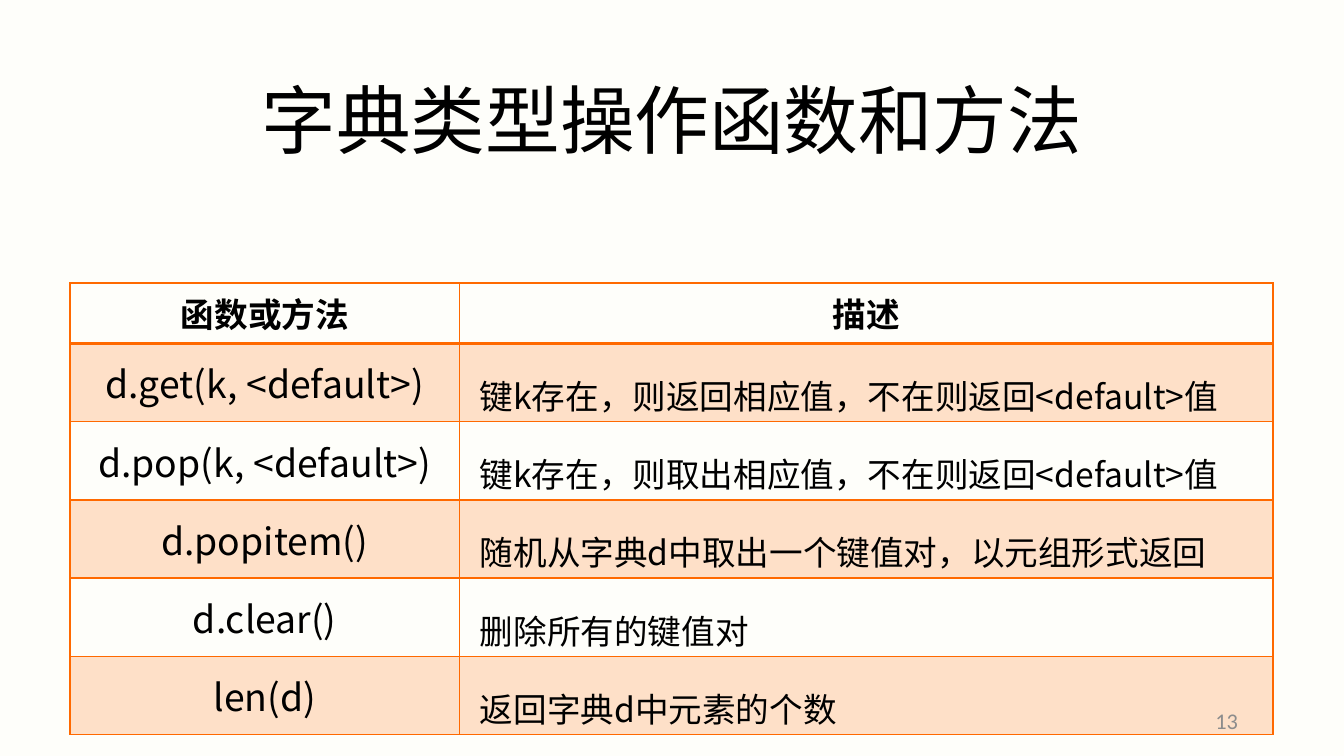
import dataclasses

import lxml.etree
import pptx
import pptx.dml.color
import pptx.enum.text
import pptx.oxml
import pptx.oxml.ns
import pptx.util

ALIGN = pptx.enum.text.PP_ALIGN
MIDDLE = pptx.enum.text.MSO_ANCHOR.MIDDLE
SCALE = 914400 // 200  # EMU per px, 200 px to the inch


@dataclasses.dataclass(frozen=True)
class Theme:
    back: str = "FEFEFA"
    ink: str = "000000"
    accent: str = "FF6900"
    muted: str = "8C8C8C"
    tint: int = 20  # percent opacity of the banded rows
    font: str = "Noto Sans CJK SC"
    latin: str = "Calibri"
    title: int = 40
    code: int = 20
    body: int = 18
    note: int = 12


THEME = Theme()

HEADS = ("函数或方法", "描述")
ROWS = (
    ("d.get(k, <default>)", "键k存在，则返回相应值，不在则返回<default>值"),
    ("d.pop(k, <default>)", "键k存在，则取出相应值，不在则返回<default>值"),
    ("d.popitem()", "随机从字典d中取出一个键值对，以元组形式返回"),
    ("d.clear()", "删除所有的键值对"),
    ("len(d)", "返回字典d中元素的个数"),
)


def px(count):
    return pptx.util.Emu(count * SCALE)


def rgb(code):
    return pptx.dml.color.RGBColor.from_string(code)


def add_run(para, text, size, color=THEME.ink, font=THEME.font, bold=False):
    run = para.add_run()
    run.text = text
    run.font.size = pptx.util.Pt(size)
    run.font.bold = bold
    run.font.color.rgb = rgb(color)
    run.font.name = font
    # East Asian glyphs need their own font entry
    east = lxml.etree.SubElement(run.font._element, pptx.oxml.ns.qn("a:ea"))
    east.set("typeface", font)


def add_title(slide, text):
    title = slide.shapes.title
    title.left, title.top, title.width, title.height = map(px, (0, 106, 2000, 174))
    frame = title.text_frame
    frame.auto_size = pptx.enum.text.MSO_AUTO_SIZE.NONE
    frame.vertical_anchor = MIDDLE
    frame.margin_left = frame.margin_right = 0
    frame.margin_top = frame.margin_bottom = 0
    para = frame.paragraphs[0]
    para.alignment = ALIGN.CENTER
    para.line_spacing = 0.7
    add_run(para, text, THEME.title)


def set_edges(cell, top=1, bottom=1):
    props = cell._tc.get_or_add_tcPr()
    widths = {"lnL": 1, "lnR": 1, "lnT": top, "lnB": bottom}
    for spot, (tag, width) in enumerate(widths.items()):
        line = pptx.oxml.parse_xml(
            f'<a:{tag} {pptx.oxml.ns.nsdecls("a")} w="{pptx.util.Pt(width)}">'
            f'<a:solidFill><a:srgbClr val="{THEME.accent}"/></a:solidFill>'
            f'<a:prstDash val="solid"/></a:{tag}>'
        )
        props.insert(spot, line)


def set_fill(cell, tinted):
    if not tinted:
        cell.fill.background()
        return
    cell.fill.solid()
    cell.fill.fore_color.rgb = rgb(THEME.accent)
    color = cell._tc.tcPr.find(".//" + pptx.oxml.ns.qn("a:srgbClr"))
    alpha = lxml.etree.SubElement(color, pptx.oxml.ns.qn("a:alpha"))
    alpha.set("val", str(THEME.tint * 1000))


def fill_cell(cell, text, row, col):
    head = row == 0
    prose = not head and col == 1
    cell.vertical_anchor = MIDDLE
    cell.margin_left = px(30 if prose else 8)
    cell.margin_right = px(8)
    cell.margin_top = cell.margin_bottom = px(4)
    para = cell.text_frame.paragraphs[0]
    para.alignment = ALIGN.LEFT if prose else ALIGN.CENTER
    if prose:
        para.line_spacing = 1.5
    size = THEME.body if head or prose else THEME.code
    add_run(para, text, size, bold=head)
    set_fill(cell, row % 2 == 1)
    set_edges(cell, top=2 if row == 1 else 1, bottom=2 if head else 1)


def add_grid(slide, rows):
    high = [90] + [96] * (len(rows) - 1)
    wide = (580, 1210)
    frame = slide.shapes.add_table(
        len(rows), len(wide), px(104), px(421), px(sum(wide)), px(sum(high))
    )
    table = frame.table
    table.first_row = table.horz_banding = False
    for col, width in enumerate(wide):
        table.columns[col].width = px(width)
    for row, texts in enumerate(rows):
        table.rows[row].height = px(high[row])
        for col, text in enumerate(texts):
            fill_cell(table.cell(row, col), text, row, col)


def add_page(slide, text):
    box = slide.shapes.add_textbox(px(1412), px(1042), px(450), px(60))
    frame = box.text_frame
    frame.word_wrap = True
    frame.vertical_anchor = MIDDLE
    para = frame.paragraphs[0]
    para.alignment = ALIGN.RIGHT
    add_run(para, text, THEME.note, THEME.muted, THEME.latin)


def main():
    deck = pptx.Presentation()
    deck.slide_width, deck.slide_height = px(2000), px(1125)
    slide = deck.slides.add_slide(deck.slide_layouts[5])

    # Background
    slide.background.fill.solid()
    slide.background.fill.fore_color.rgb = rgb(THEME.back)

    # Content, back to front
    add_title(slide, "字典类型操作函数和方法")
    add_grid(slide, (HEADS, *ROWS))
    add_page(slide, "13")

    deck.save("out.pptx")


if __name__ == "__main__":
    main()
